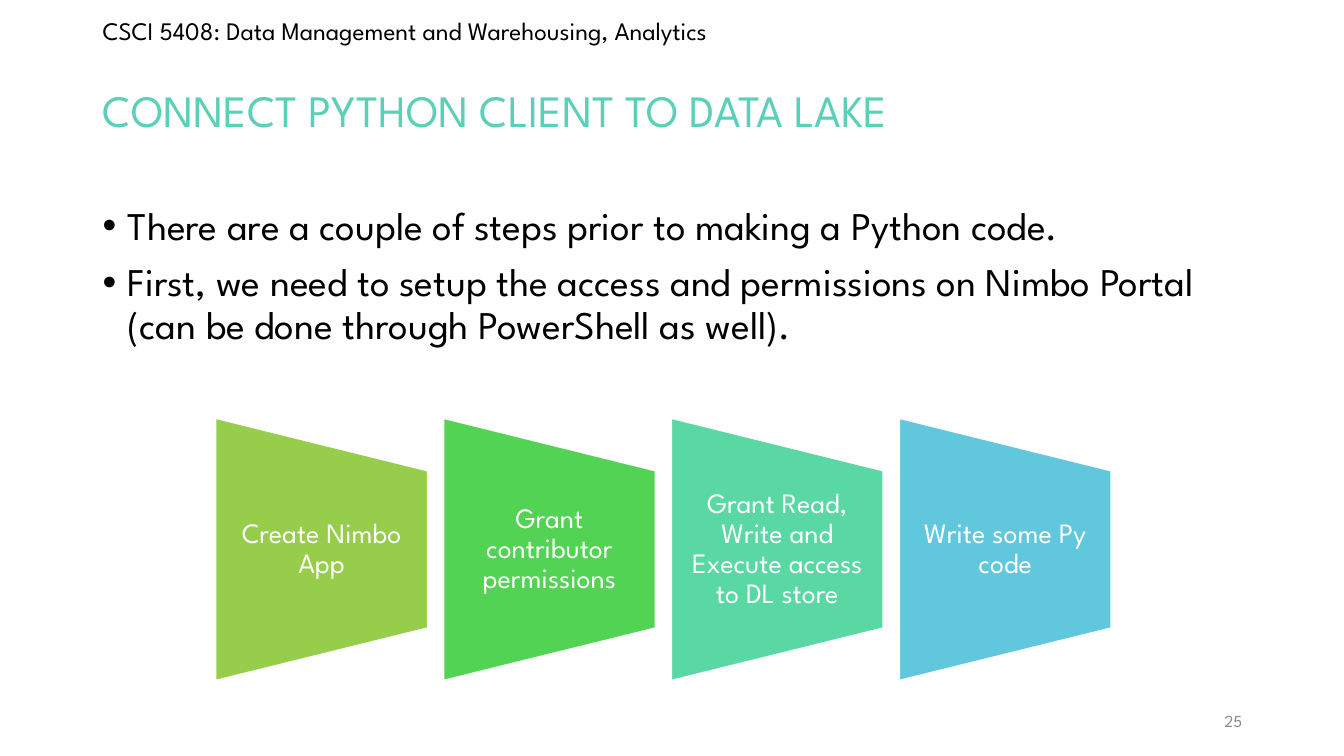
"""Build the slide on connecting a Python client to a data lake."""
import pptx
import pptx.dml.color
import pptx.enum.shapes
import pptx.enum.text
import pptx.oxml.ns
import pptx.util
from lxml import etree

Inches = pptx.util.Inches
Pt = pptx.util.Pt
ALIGN = pptx.enum.text.PP_ALIGN
ANCHOR = pptx.enum.text.MSO_ANCHOR


def color(hex_string):
    """Return the colour for a hex string."""
    return pptx.dml.color.RGBColor.from_string(hex_string)


class SlideBuilder:
    """Hold the style and the current slide."""

    font = "League Spartan"

    def __init__(self, presentation):
        """Add a title-only slide."""
        self.slide = presentation.slides.add_slide(presentation.slide_layouts[5])

    def set_text(self, shape, lines, size, hex_string, align=ALIGN.LEFT,
                 anchor=ANCHOR.TOP, spacing=1.0, wrap=True):
        """Fill a shape with formatted paragraphs."""
        frame = shape.text_frame
        frame.text = "\n".join(lines)
        frame.word_wrap = wrap
        frame.auto_size = pptx.enum.text.MSO_AUTO_SIZE.NONE
        frame.vertical_anchor = anchor
        for paragraph in frame.paragraphs:
            paragraph.alignment = align
            paragraph.line_spacing = spacing
            for run in paragraph.runs:
                run.font.name = self.font
                run.font.size = Pt(size)
                run.font.color.rgb = color(hex_string)

    def title(self, text, left, top, width, height):
        """Place and format the title."""
        shape = self.slide.shapes.title
        shape.left, shape.top = Inches(left), Inches(top)
        shape.width, shape.height = Inches(width), Inches(height)
        self.set_text(shape, [text], 32, "5AD0B8", anchor=ANCHOR.MIDDLE, spacing=0.9)

    def text(self, lines, left, top, width, height, size, hex_string="000000", **style):
        """Add a text box."""
        shape = self.slide.shapes.add_textbox(
            Inches(left), Inches(top), Inches(width), Inches(height))
        self.set_text(shape, lines, size, hex_string, **style)
        return shape

    def bullets(self, lines, left, top, width, height):
        """Add a bulleted list with hanging indents."""
        shape = self.text(lines, left, top, width, height, 28, spacing=0.9)
        for paragraph in shape.text_frame.paragraphs:
            paragraph.space_before = Pt(10)
            properties = paragraph._p.get_or_add_pPr()
            properties.set("marL", str(Inches(0.25)))
            properties.set("indent", str(-Inches(0.25)))
            font = etree.SubElement(properties, pptx.oxml.ns.qn("a:buFont"))
            font.set("typeface", "Arial")
            bullet = etree.SubElement(properties, pptx.oxml.ns.qn("a:buChar"))
            bullet.set("char", "•")

    def step(self, text, left, fill):
        """Add a sideways trapezoid with its upright label."""
        shape = self.slide.shapes.add_shape(
            pptx.enum.shapes.MSO_SHAPE.FLOWCHART_MANUAL_OPERATION,
            Inches(left), Inches(4.4), Inches(2.6), Inches(2.1))
        shape.rotation = 270
        shape.shadow.inherit = False
        shape.fill.solid()
        shape.fill.fore_color.rgb = color(fill)
        shape.line.color.rgb = color("FFFFFF")
        shape.line.width = Pt(1)
        label = self.text([text], left + 0.25, 4.67, 2.1, 1.56, 20, "FFFFFF",
                          align=ALIGN.CENTER, anchor=ANCHOR.MIDDLE, spacing=0.9)
        frame = label.text_frame
        frame.margin_left = frame.margin_right = Inches(0.14)
        frame.margin_top = frame.margin_bottom = 0


def main():
    """Create and save the presentation."""
    presentation = pptx.Presentation()
    presentation.slide_width = Inches(13.33)
    presentation.slide_height = Inches(7.5)
    builder = SlideBuilder(presentation)
    builder.text(["CSCI 5408: Data Management and Warehousing, Analytics"],
                 0.92, 0.1, 7.44, 0.4, 18, wrap=False)
    builder.title("CONNECT PYTHON CLIENT TO DATA LAKE", 0.92, 0.4, 11.5, 1.45)
    builder.bullets([
        "There are a couple of steps prior to making a Python code.",
        "First, we need to setup the access and permissions on Nimbo Portal "
        "(can be done through PowerShell as well).",
    ], 0.92, 2, 11.5, 4.76)
    builder.text(["25"], 9.42, 6.95, 3, 0.4, 12, "8C8C8C",
                 align=ALIGN.RIGHT, anchor=ANCHOR.MIDDLE)
    steps = [
        ("Create Nimbo App", "96CD4B"),
        ("Grant contributor permissions", "52D353"),
        ("Grant Read, Write and Execute access to DL store", "59D8A4"),
        ("Write some Py code", "61C7DD"),
    ]
    for index, (text, fill) in enumerate(steps):
        builder.step(text, 1.89 + 2.26 * index, fill)
    presentation.save("out.pptx")


if __name__ == "__main__":
    main()
